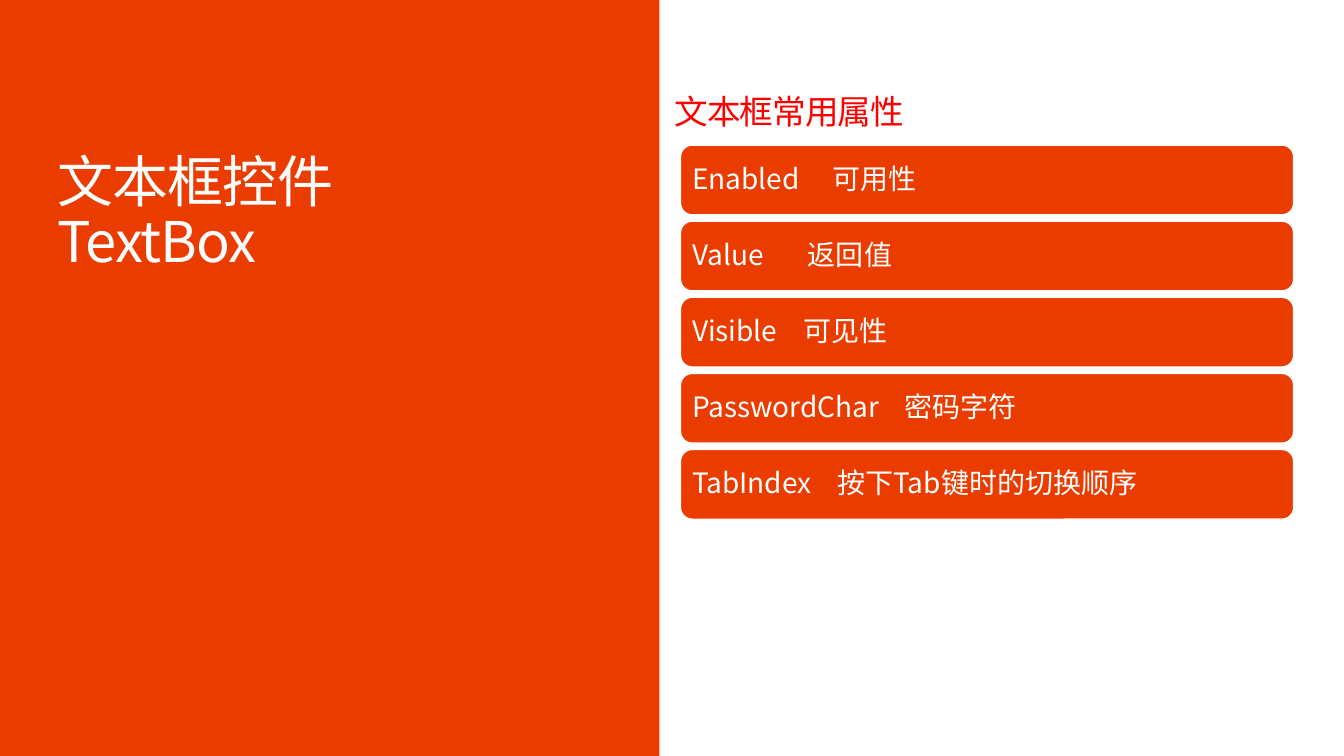
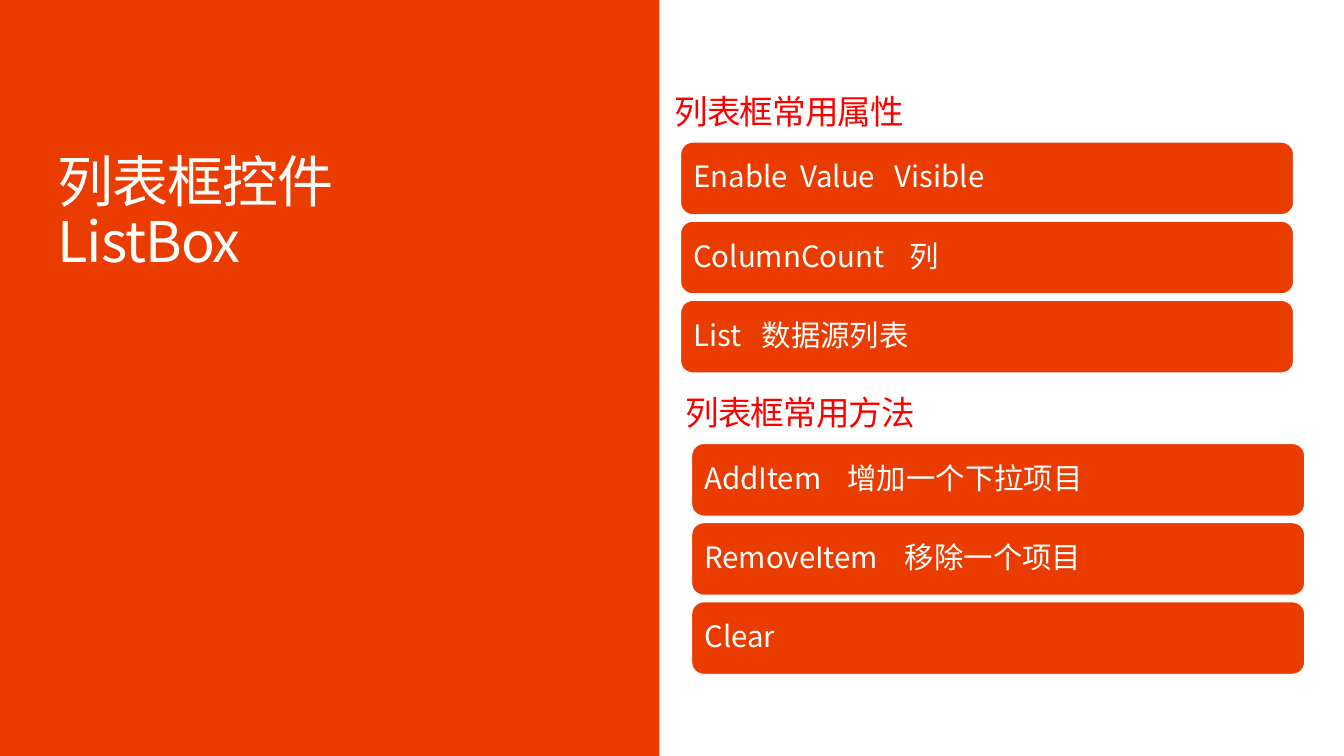
"""Build two slides on the text box and list box controls."""
import pptx
import pptx.util
import pptx.dml.color
import pptx.enum.shapes
import pptx.enum.text
import pptx.oxml.ns
import lxml.etree
from dataclasses import dataclass

DECK = [
    dict(title=["文本框控件", "TextBox"], size=20, high=0.69, inset=0.08, lists=[
        dict(head="文本框常用属性", at=(6.69, 0.9), rows=[
            ("Enabled\t可用性", [1.39]),
            ("Value\t返回值", [1.15]),
            ("Visible\t可见性", [1.11]),
            ("PasswordChar\t密码字符", [2.11]),
            ("TabIndex\t按下Tab键时的切换顺序", [1.44]),
        ]),
    ]),
    dict(title=["列表框控件", "ListBox"], size=21, high=0.72, inset=0.09, lists=[
        dict(head="列表框常用属性", at=(6.69, 0.9), rows=[
            ("Enable\tValue\tVisible", [1.06, 2]),
            ("ColumnCount\t列", [2.15]),
            ("List\t数据源列表", [0.68]),
        ]),
        dict(head="列表框常用方法", at=(6.8, 3.89), rows=[
            ("AddItem\t增加一个下拉项目", [1.42]),
            ("RemoveItem\t移除一个项目", [1.99]),
            ("Clear", []),
        ]),
    ]),
]


@dataclass(frozen=True)
class Theme:
    font: str = "Noto Sans CJK SC"
    main: str = "EB3C00"
    pale: str = "FFFFFF"
    head: str = "FF0000"
    title: int = 40
    label: int = 24
    track: float = -0.7


T = Theme()
WIDE, TALL = 13.33, 7.5
BAND = 6.54
CARD, GAP, SHIFT, BASE = 6.08, 0.065, 0.06, 1.23
Inch, Pt = pptx.util.Inches, pptx.util.Pt
Kind = pptx.enum.shapes.MSO_SHAPE
Anchor = pptx.enum.text.MSO_ANCHOR
Align = pptx.enum.text.PP_ALIGN
qn = pptx.oxml.ns.qn


def rgb(code):
    return pptx.dml.color.RGBColor.from_string(code)


def write(shape, lines, size, color=T.pale, inset=0, track=0, lead=1.0,
          after=0, tabs=(), anchor=Anchor.TOP, wrap=True):
    frame = shape.text_frame
    frame.word_wrap, frame.vertical_anchor = wrap, anchor
    frame.margin_left = frame.margin_right = Inch(inset)
    frame.margin_top = frame.margin_bottom = Inch(inset)
    for i, line in enumerate(lines):
        para = frame.add_paragraph() if i else frame.paragraphs[0]
        para.alignment = Align.LEFT
        para.line_spacing, para.space_after = lead, Pt(after)
        if tabs:
            stops = lxml.etree.SubElement(para._p.get_or_add_pPr(), qn("a:tabLst"))
            for pos in tabs:
                lxml.etree.SubElement(stops, qn("a:tab"), pos=str(Inch(pos)), algn="l")
        run = para.add_run()
        run.text = line
        run.font.size, run.font.name = Pt(size), T.font
        run.font.color.rgb = rgb(color)
        props = run._r.get_or_add_rPr()
        lxml.etree.SubElement(props, qn("a:ea"), typeface=T.font)
        if track:
            props.set("spc", str(round(track * 100)))


def block(slide, kind, x, y, w, h, edge=None):
    shape = slide.shapes.add_shape(kind, Inch(x), Inch(y), Inch(w), Inch(h))
    shape.shadow.inherit = False
    shape.fill.solid()
    shape.fill.fore_color.rgb = rgb(T.main)
    if edge:
        shape.line.color.rgb, shape.line.width = rgb(edge), Pt(0.85)
    else:
        shape.line.fill.background()
    return shape


def label(slide, lines, x, y, w, h, **style):
    box = slide.shapes.add_textbox(Inch(x), Inch(y), Inch(w), Inch(h))
    write(box, lines, track=T.track, **style)


def build(deck, page):
    slide = deck.slides.add_slide(deck.slide_layouts[6])
    block(slide, Kind.RECTANGLE, 0, 0, BAND, TALL)
    label(slide, page["title"], 0.57, 1.58, 5.72, 1.82,
          size=T.title, lead=0.8, after=5)
    high = page["high"]
    for part in page["lists"]:
        x, y = part["at"]
        label(slide, [part["head"]], x, y, 2.29, 0.4,
              size=T.label, color=T.head, wrap=False)
        for i, (text, tabs) in enumerate(part["rows"]):
            top = y + BASE - high + i * (high + GAP)
            card = block(slide, Kind.ROUNDED_RECTANGLE, x + SHIFT, top, CARD, high, T.pale)
            write(card, [text], page["size"], inset=page["inset"], lead=0.9,
                  tabs=tabs, anchor=Anchor.MIDDLE)


deck = pptx.Presentation()
deck.slide_width, deck.slide_height = Inch(WIDE), Inch(TALL)
for page in DECK:
    build(deck, page)
deck.save("out.pptx")
